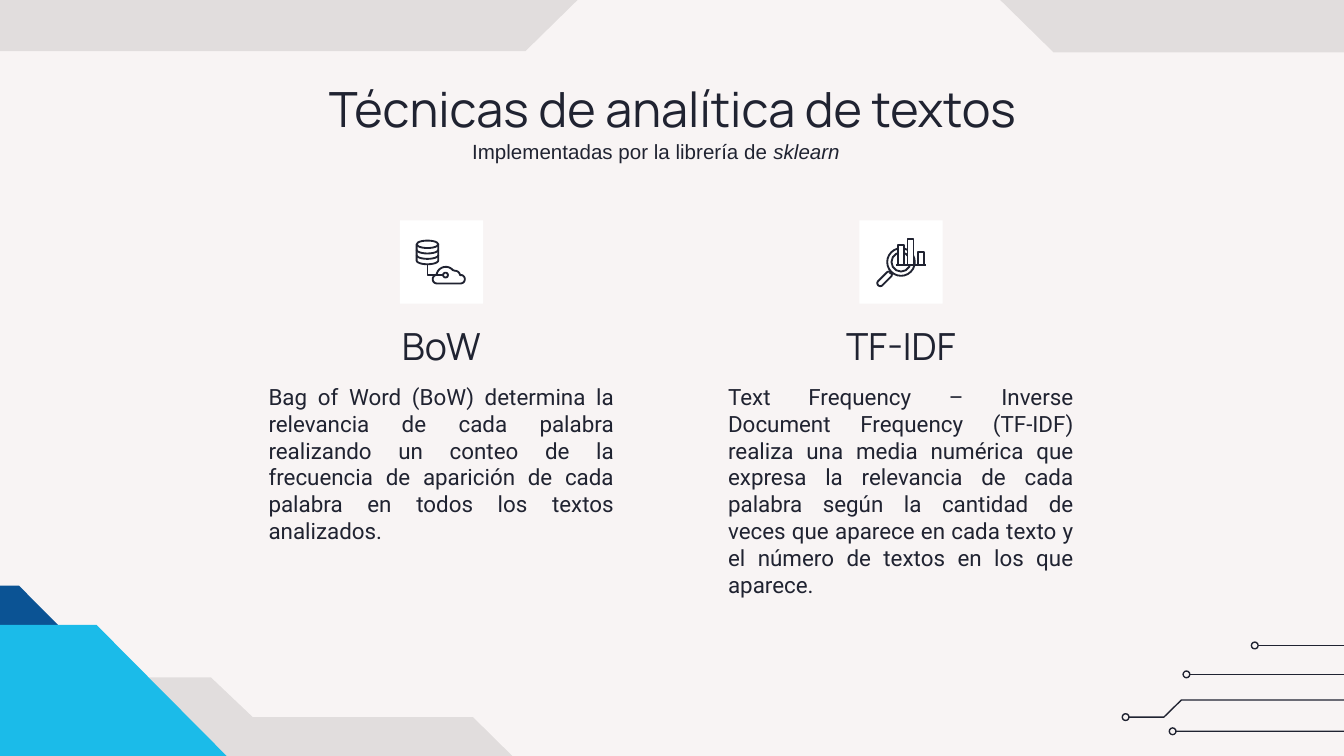
"""Build the slide that compares two text analytics techniques."""
import math
from dataclasses import dataclass
from typing import Optional

import lxml.etree
import pptx
import pptx.dml.color
import pptx.enum.shapes
import pptx.enum.text
import pptx.oxml.ns
import pptx.util

Pt = pptx.util.Pt
Align = pptx.enum.text.PP_ALIGN
Anchor = pptx.enum.text.MSO_ANCHOR
Shape = pptx.enum.shapes.MSO_SHAPE
Points = list[tuple[float, float]]

INK = "202331"
TILE = 44.6
TILE_TOP = 118.1
COLUMN_WIDTH = 199.4


@dataclass(frozen=True)
class Technique:
    left: float
    name: str
    description: str


@dataclass(frozen=True)
class Panel:
    points: Points
    fill: str
    opacity: int = 100


TECHNIQUES = [
    Technique(136.8, "BoW", "Bag of Word (BoW) determina la relevancia de cada palabra realizando un "
              "conteo de la frecuencia de aparición de cada palabra en todos los textos analizados."),
    Technique(383, "TF-IDF", "Text Frequency – Inverse Document Frequency (TF-IDF) realiza una media "
              "numérica que expresa la relevancia de cada palabra según la cantidad de veces que "
              "aparece en cada texto y el número de textos en los que aparece."),
]

PANELS = [
    Panel([(-55.4, 362.9), (-55.4, 600.5), (347, 600.5), (347, 426.2), (295.9, 426.2),
           (253.4, 384.2), (135.4, 384.2), (113, 362.9)], "000000", 9),
    Panel([(564.5, 28.1), (483.1, -51.8), (362.2, -51.8), (281.5, 27.4), (-15.8, 27.4),
           (-15.8, -120.2), (720.7, -120.2), (720.7, 28.1)], "000000", 9),
    Panel([(-80.6, 313.7), (-59.8, 334.8), (31, 334.8), (10.1, 313.7)], "0B5394"),
    Panel([(51.8, 334.8), (131.8, 415.4), (155.5, 415.4), (155.5, 455.8),
           (-65.5, 455.8), (-65.5, 334.8)], "1BBBE9"),
]

TRACES: list[Points] = [
    [(630, 391.8), (730, 391.8), (736.6, 398.2), (868.3, 398.2)],
    [(637.4, 361.3), (757.4, 361.3)],
    [(604.8, 384.2), (623.5, 384.2), (632.9, 375), (723.6, 375)],
    [(674, 345.8), (907.9, 345.8)],
]


def color(value: str) -> pptx.dml.color.RGBColor:
    return pptx.dml.color.RGBColor.from_string(value)


def style(shape, fill: Optional[str] = None, line: Optional[str] = None,
          weight: float = 0.75, opacity: int = 100) -> None:
    shape.shadow.inherit = False
    if fill is None:
        shape.fill.background()
    else:
        shape.fill.solid()
        shape.fill.fore_color.rgb = color(fill)
        if opacity < 100:
            tint = shape.fill._xPr.find(".//" + pptx.oxml.ns.qn("a:srgbClr"))
            lxml.etree.SubElement(tint, pptx.oxml.ns.qn("a:alpha"), val=str(opacity * 1000))
    if line is None:
        shape.line.fill.background()
    else:
        shape.line.color.rgb = color(line)
        shape.line.width = Pt(weight)


def draw_preset(page, kind, left: float, top: float, width: float, height: float, **look) -> None:
    shape = page.shapes.add_shape(kind, Pt(left), Pt(top), Pt(width), Pt(height))
    style(shape, **look)


def draw_outline(page, points: Points, closed: bool = True, **look) -> None:
    corners = [(Pt(x), Pt(y)) for x, y in points]
    builder = page.shapes.build_freeform(*corners[0], scale=1.0)
    builder.add_line_segments(corners[1:], close=closed)
    style(builder.convert_to_shape(), **look)


def draw_line(page, start: tuple[float, float], end: tuple[float, float], weight: float = 0.75) -> None:
    line = page.shapes.add_connector(
        pptx.enum.shapes.MSO_CONNECTOR.STRAIGHT, *(Pt(value) for value in (*start, *end)))
    line.line.color.rgb = color(INK)
    line.line.width = Pt(weight)
    lxml.etree.SubElement(line._element.spPr, pptx.oxml.ns.qn("a:effectLst"))


def draw_ring(page, x: float, y: float, radius: float, weight: float = 0.75) -> None:
    draw_preset(page, Shape.OVAL, x - radius, y - radius, 2 * radius, 2 * radius,
                line=INK, weight=weight)


def draw_trace(page, points: Points) -> None:
    if len(points) == 2:
        draw_line(page, *points)
    else:
        draw_outline(page, points, closed=False, line=INK)
    x, y = points[0]
    draw_ring(page, x - 1.8, y, 1.8)


def arc(x: float, y: float, across: float, down: float, start: int, end: int) -> Points:
    angles = [math.radians(start + (end - start) * step / 12) for step in range(13)]
    return [(x + across * math.cos(angle), y + down * math.sin(angle)) for angle in angles]


def draw_database_icon(page, left: float, top: float) -> None:
    x, y = left + 14.8, top + 12.8
    look = {"line": INK, "weight": 1}
    draw_preset(page, Shape.OVAL, x - 5.8, y - 2, 11.6, 4, **look)
    draw_outline(page, [(x + 5.8, y), *arc(x, y + 8.7, 5.8, 2, 0, 180), (x - 5.8, y)],
                 closed=False, **look)
    for drop in (2.9, 5.8):
        draw_outline(page, arc(x, y + drop, 5.8, 2, 0, 180), closed=False, **look)
    lobes = [(19.9, 31.5, 2.3, 90, 250), (24.6, 29.9, 5, 190, 320),
             (29.5, 29.8, 2.8, 270, 350), (32.5, 31.5, 2.3, -70, 90)]
    cloud = [point for across, down, radius, start, end in lobes
             for point in arc(left + across, top + down, radius, radius, start, end)]
    draw_outline(page, cloud, **look)
    draw_outline(page, [(x, top + 23.5), (x, top + 29.3), (left + 23.2, top + 29.3)],
                 closed=False, **look)
    draw_ring(page, left + 24.5, top + 29.3, 1.3, 1)


def draw_search_icon(page, left: float, top: float) -> None:
    for radius in (7.4, 5.1):
        draw_ring(page, left + 22.3, top + 22.3, radius, 1)
    handle = (arc(left + 11.2, top + 33.6, 1.6, 1.6, 45, 225)
              + arc(left + 15.8, top + 29, 1.6, 1.6, 225, 405))
    draw_outline(page, handle, line=INK, weight=1)
    draw_line(page, (left + 16.2, top + 28.6), (left + 17.4, top + 27.4), 1)
    base = 23.8
    for across, height in ((20.6, 10.5), (25.8, 14.1), (31.2, 6.9)):
        draw_preset(page, Shape.RECTANGLE, left + across, top + base - height, 3.2, height,
                    fill="FFFFFF", line=INK, weight=1)
    draw_line(page, (left + 19.5, top + base), (left + 35.6, top + base), 1)


def place(box, left: float, top: float, width: float, height: float, anchor=Anchor.TOP) -> None:
    box.left, box.top, box.width, box.height = Pt(left), Pt(top), Pt(width), Pt(height)
    frame = box.text_frame
    frame.word_wrap = True
    frame.auto_size = pptx.enum.text.MSO_AUTO_SIZE.NONE
    frame.vertical_anchor = anchor
    frame.margin_left = frame.margin_right = frame.margin_top = frame.margin_bottom = Pt(7.2)


def add_box(page, *bounds: float, anchor=Anchor.TOP):
    box = page.shapes.add_textbox(0, 0, 0, 0)
    place(box, *bounds, anchor=anchor)
    return box


def write(box, text: str, *, size: float, font: str, align=Align.CENTER, italic: bool = False) -> None:
    para = box.text_frame.paragraphs[0]
    para.alignment = align
    span = para.add_run()
    span.text = text
    span.font.size, span.font.name, span.font.italic = Pt(size), font, italic
    span.font.color.rgb = color(INK)


def main() -> None:
    deck = pptx.Presentation()
    deck.slide_width, deck.slide_height = Pt(720), Pt(405)
    page = deck.slides.add_slide(deck.slide_layouts.get_by_name("Title Only"))
    page.background.fill.solid()
    page.background.fill.fore_color.rgb = color("F8F4F4")

    for panel in PANELS:
        draw_outline(page, panel.points, fill=panel.fill, opacity=panel.opacity)
    for points in TRACES:
        draw_trace(page, points)

    title = page.shapes.title
    place(title, 56.9, 35.3, 607, 45.4)
    write(title, "Técnicas de analítica de textos", size=26, font="Manrope")
    subtitle = add_box(page, 172.1, 67, 358.6, 25.2)
    write(subtitle, "Implementadas por la librería de ", size=11, font="Arial")
    write(subtitle, "sklearn", size=11, font="Arial", italic=True)

    for technique, draw_icon in zip(TECHNIQUES, (draw_database_icon, draw_search_icon)):
        body = add_box(page, technique.left, 198, COLUMN_WIDTH, 127.4)
        write(body, technique.description, size=12, font="Roboto", align=Align.JUSTIFY)
        heading = add_box(page, technique.left, 160.6, COLUMN_WIDTH, 43.9, anchor=Anchor.BOTTOM)
        write(heading, technique.name, size=20, font="Manrope")
        tile_left = technique.left + (COLUMN_WIDTH - TILE) / 2
        draw_preset(page, Shape.RECTANGLE, tile_left, TILE_TOP, TILE, TILE, fill="FFFFFF")
        draw_icon(page, tile_left, TILE_TOP)

    deck.save("out.pptx")


if __name__ == "__main__":
    main()
